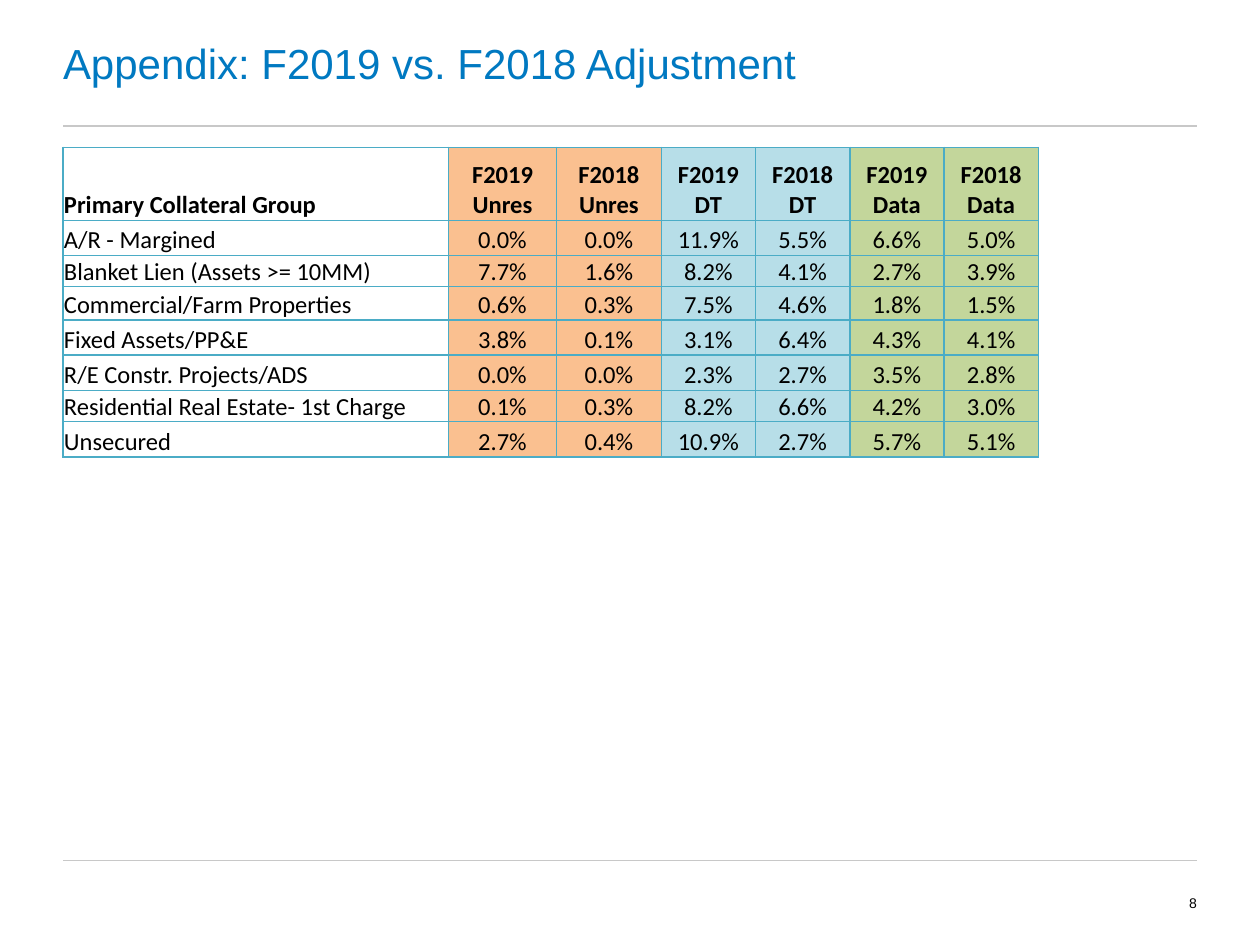
import pptx
import pptx.dml.color
import pptx.enum.shapes
import pptx.enum.text
import pptx.oxml
import pptx.oxml.ns
import pptx.util
from lxml import etree

Cm = pptx.util.Cm
Pt = pptx.util.Pt
ALIGN = pptx.enum.text.PP_ALIGN
ANCHOR = pptx.enum.text.MSO_ANCHOR

ORANGE, BLUE, GREEN = "FAC090", "B7DEE8", "C3D69B"
COLUMNS = [
    ("Primary Collateral Group", 7.77, None),
    ("F2019 Unres", 2.18, ORANGE),
    ("F2018 Unres", 2.11, ORANGE),
    ("F2019 DT", 1.9, BLUE),
    ("F2018 DT", 1.9, BLUE),
    ("F2019 Data", 1.9, GREEN),
    ("F2018 Data", 1.9, GREEN),
]
HEADER_HEIGHT = 1.47
GROUPS = [
    ("A/R - Margined", 0.71, [0.0, 0.0, 11.9, 5.5, 6.6, 5.0]),
    ("Blanket Lien (Assets >= 10MM)", 0.63, [7.7, 1.6, 8.2, 4.1, 2.7, 3.9]),
    ("Commercial/Farm Properties", 0.67, [0.6, 0.3, 7.5, 4.6, 1.8, 1.5]),
    ("Fixed Assets/PP&E", 0.71, [3.8, 0.1, 3.1, 6.4, 4.3, 4.1]),
    ("R/E Constr. Projects/ADS", 0.71, [0.0, 0.0, 2.3, 2.7, 3.5, 2.8]),
    ("Residential Real Estate- 1st Charge", 0.63, [0.1, 0.3, 8.2, 6.6, 4.2, 3.0]),
    ("Unsecured", 0.71, [2.7, 0.4, 10.9, 2.7, 5.7, 5.1]),
]


def color(code):
    return pptx.dml.color.RGBColor.from_string(code)


def apply(target, values):
    for name, value in values.items():
        setattr(target, name, value)


def write(frame, text, code, align, font):
    para = frame.paragraphs[0]
    para.alignment = align
    span = para.add_run()
    span.text = text
    apply(span.font, font)
    span.font.color.rgb = color(code)


def format_frame(frame):
    apply(frame, {
        "margin_left": 0, "margin_right": 0, "margin_top": 0, "margin_bottom": 0,
        "word_wrap": True, "vertical_anchor": ANCHOR.MIDDLE,
        "auto_size": pptx.enum.text.MSO_AUTO_SIZE.NONE,
    })


def add_rule(page, left, top, width):
    rule = page.shapes.add_connector(
        pptx.enum.shapes.MSO_CONNECTOR.STRAIGHT,
        Cm(left), Cm(top), Cm(left + width), Cm(top))
    rule.line.color.rgb = color("C8C8C8")
    rule.line.width = Pt(0.75)
    etree.SubElement(rule._element.spPr, pptx.oxml.ns.qn("a:effectLst"))


def add_title(page, left, top, width, height):
    title = page.shapes.title
    apply(title, {"left": Cm(left), "top": Cm(top),
                  "width": Cm(width), "height": Cm(height)})
    format_frame(title.text_frame)
    write(title.text_frame, "Appendix: F2019 vs. F2018 Adjustment", "0079C1",
          ALIGN.LEFT, {"size": Pt(24), "name": "Arial"})
    add_rule(page, left, top + height, width)


def add_footer(page, left, top, width, height):
    add_rule(page, left, top, width)
    number_width = 1.27
    box = page.shapes.add_textbox(Cm(left + width - number_width), Cm(top),
                                  Cm(number_width), Cm(height))
    format_frame(box.text_frame)
    write(box.text_frame, "8", "000000", ALIGN.RIGHT,
          {"size": Pt(8), "name": "Arial"})


def add_borders(cell, code, points):
    properties = cell._tc.get_or_add_tcPr()
    for index, side in enumerate(("lnL", "lnR", "lnT", "lnB")):
        border = pptx.oxml.parse_xml(
            f'<a:{side} {pptx.oxml.ns.nsdecls("a")} w="{Pt(points)}">'
            f'<a:solidFill><a:srgbClr val="{code}"/></a:solidFill></a:{side}>')
        properties.insert(index, border)


def fill_cell(cell, text, fill, align, bold):
    apply(cell, {
        "margin_left": Cm(0.02), "margin_right": Cm(0.02),
        "margin_top": Cm(0.02), "margin_bottom": 0,
        "vertical_anchor": ANCHOR.BOTTOM,
    })
    write(cell.text_frame, text, "000000", align,
          {"size": Pt(14), "name": "Calibri", "bold": bold})
    if fill:
        cell.fill.solid()
        cell.fill.fore_color.rgb = color(fill)
    else:
        cell.fill.background()
    add_borders(cell, "4BACC6", 1)


def add_collateral_table(page, left, top):
    headings, widths, fills = zip(*COLUMNS)
    heights = [HEADER_HEIGHT] + [height for _, height, _ in GROUPS]
    lines = [headings] + [
        [name] + [f"{value:.1f}%" for value in values] for name, _, values in GROUPS]
    table = page.shapes.add_table(len(heights), len(widths), Cm(left), Cm(top),
                                  Cm(sum(widths)), Cm(sum(heights))).table
    apply(table, {"first_row": False, "horz_banding": False})
    for column, width in zip(table.columns, widths):
        column.width = Cm(width)
    for row, height in zip(table.rows, heights):
        row.height = Cm(height)
    for row_index, line in enumerate(lines):
        for column_index, text in enumerate(line):
            fill_cell(table.cell(row_index, column_index), text, fills[column_index],
                      ALIGN.CENTER if column_index else ALIGN.LEFT, row_index == 0)


deck = pptx.Presentation()
apply(deck, {"slide_width": Cm(25.4), "slide_height": Cm(19.05)})
page = deck.slides.add_slide(deck.slide_layouts[5])
add_title(page, 1.27, 0, 22.86, 2.54)
add_collateral_table(page, 1.27, 2.97)
add_footer(page, 1.27, 17.35, 22.86, 1.7)
deck.save("out.pptx")
